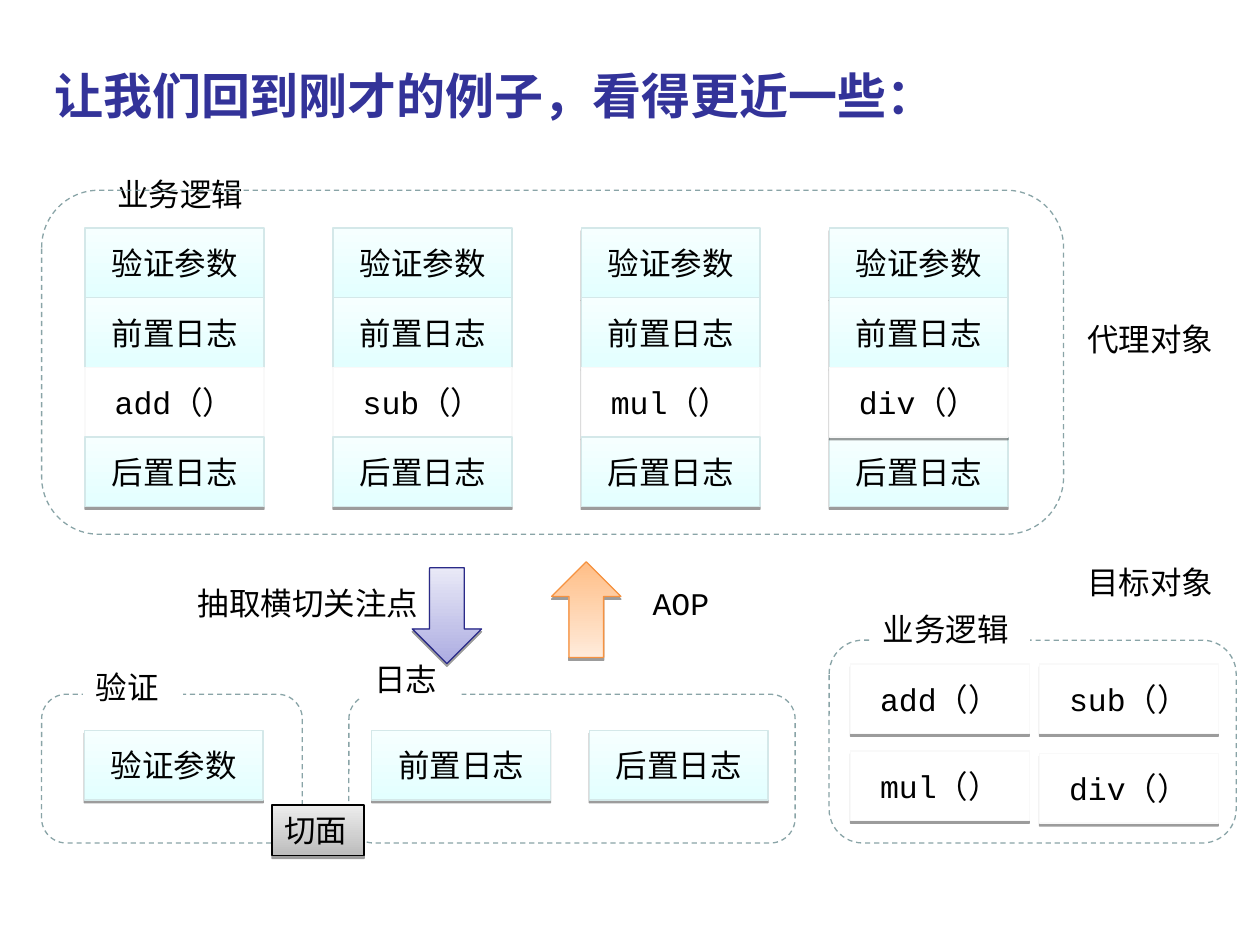
import dataclasses
import typing

import lxml.etree
import pptx
import pptx.dml.color
import pptx.enum.dml
import pptx.enum.shapes
import pptx.enum.text
import pptx.oxml.ns
import pptx.util

Pt = pptx.util.Pt
Preset = pptx.enum.shapes.MSO_SHAPE
Align = pptx.enum.text.PP_ALIGN
Anchor = pptx.enum.text.MSO_ANCHOR


@dataclasses.dataclass(frozen=True)
class Style:
    colors: tuple[str, ...] = ()
    line: str | None = None
    dashed: bool = False
    shadow: bool = False


@dataclasses.dataclass(frozen=True)
class Theme:
    title_font: str = "Arial"
    title_size: float = 28
    title_color: str = "333399"
    body_font: str = "Courier New"
    body_size: float = 18
    body_color: str = "000000"
    line_width: float = 0.75
    shadow_color: str = "000000"
    concern: Style = Style(("E3FFFF", "F6FFFF"), "D4E8E9", shadow=True)
    method: Style = Style(("FFFFFF",), "F9F9F9", shadow=True)
    frame: Style = Style(line="89A4A7", dashed=True)
    caption: Style = Style(("FFFFFF",))
    plain: Style = Style()
    extract: Style = Style(("ACACE1", "E9E9F7"), "2A2A88", shadow=True)
    weave: Style = Style(("FFBE86", "FFEBDB"), "F69240", shadow=True)
    aspect: Style = Style(("BCBCBC", "EDEDED"), "000000", shadow=True)


class Box(typing.NamedTuple):
    left: float
    top: float
    width: float
    height: float


class Item(typing.NamedTuple):
    text: str
    box: Box
    style: Style


THEME = Theme()
CELL_WIDTH, CELL_HEIGHT = 102.2, 39.8
COLUMN_LEFT, COLUMN_TOP, COLUMN_PITCH = 48.6, 130.3, 141.75
LABEL_HEIGHT = 29


def rgb(value: str) -> pptx.dml.color.RGBColor:
    """Convert a hex string to a colour."""
    return pptx.dml.color.RGBColor.from_string(value)


def add_shadow(shape) -> None:
    """Give a shape a hard shadow just below it."""
    effects = shape._element.spPr.find(pptx.oxml.ns.qn("a:effectLst"))
    outer = lxml.etree.SubElement(
        effects, pptx.oxml.ns.qn("a:outerShdw"),
        blurRad="0", dist=str(Pt(1.6)), dir="5400000", rotWithShape="0")
    color = lxml.etree.SubElement(
        outer, pptx.oxml.ns.qn("a:srgbClr"), val=THEME.shadow_color)
    lxml.etree.SubElement(color, pptx.oxml.ns.qn("a:alpha"), val="38000")


def apply_style(shape, style: Style) -> None:
    """Set fill, outline and shadow of a shape."""
    shape.shadow.inherit = False
    if len(style.colors) == 2:
        shape.fill.gradient()
        shape.fill.gradient_angle = 90
        for stop, color in zip(shape.fill.gradient_stops, style.colors):
            stop.color.rgb = rgb(color)
    elif style.colors:
        shape.fill.solid()
        shape.fill.fore_color.rgb = rgb(style.colors[0])
    else:
        shape.fill.background()
    if style.line:
        shape.line.color.rgb = rgb(style.line)
        shape.line.width = Pt(THEME.line_width)
        if style.dashed:
            shape.line.dash_style = pptx.enum.dml.MSO_LINE.DASH
    else:
        shape.line.fill.background()
    if style.shadow:
        add_shadow(shape)


def write(shape, text: str, font: str, size: float, color: str,
          alignment: Align, anchor: Anchor, bold: bool = False) -> None:
    """Put one formatted run into a shape."""
    frame = shape.text_frame
    frame.word_wrap = True
    frame.vertical_anchor = anchor
    paragraph = frame.paragraphs[0]
    paragraph.alignment = alignment
    run = paragraph.add_run()
    run.text = text
    run.font.name = font
    run.font.size = Pt(size)
    run.font.bold = bold
    run.font.color.rgb = rgb(color)


def add_preset(slide, preset: Preset, box: Box, style: Style):
    """Draw a styled preset shape."""
    shape = slide.shapes.add_shape(preset, *map(Pt, box))
    apply_style(shape, style)
    return shape


def add_cell(slide, text: str, left: float, top: float, style: Style) -> None:
    """Draw one centred code block."""
    box = Box(left, top, CELL_WIDTH, CELL_HEIGHT)
    shape = add_preset(slide, Preset.RECTANGLE, box, style)
    write(shape, text, THEME.body_font, THEME.body_size, THEME.body_color,
          Align.CENTER, Anchor.MIDDLE)


def add_label(slide, item: Item) -> None:
    """Draw a left-aligned label."""
    if item.style == THEME.plain:
        shape = slide.shapes.add_textbox(*map(Pt, item.box))
    else:
        shape = add_preset(slide, Preset.RECTANGLE, item.box, item.style)
    write(shape, item.text, THEME.body_font, THEME.body_size, THEME.body_color,
          Align.LEFT, Anchor.TOP)


def add_frame(slide, box: Box) -> None:
    """Draw a dashed rounded frame."""
    add_preset(slide, Preset.ROUNDED_RECTANGLE, box, THEME.frame)


def add_title(slide, text: str) -> None:
    """Place and fill the title."""
    title = slide.shapes.title
    title.left, title.top, title.width, title.height = map(Pt, (23.8, 33.8, 624, 41))
    write(title, text, THEME.title_font, THEME.title_size, THEME.title_color,
          Align.LEFT, Anchor.TOP, bold=True)
    title.text_frame.auto_size = pptx.enum.text.MSO_AUTO_SIZE.NONE


def add_proxy_columns(slide) -> None:
    """Draw the four methods wrapped in their concerns."""
    for column, method in enumerate(("add（）", "sub（）", "mul（）", "div（）")):
        steps = [("验证参数", THEME.concern), ("前置日志", THEME.concern),
                 (method, THEME.method), ("后置日志", THEME.concern)]
        order = (0, 1, 3, 2) if column == 3 else (0, 1, 2, 3)
        for row in order:
            text, style = steps[row]
            add_cell(slide, text, COLUMN_LEFT + column * COLUMN_PITCH,
                     COLUMN_TOP + row * CELL_HEIGHT, style)


def main() -> None:
    """Build and save the slide."""
    presentation = pptx.Presentation()
    presentation.slide_width, presentation.slide_height = Pt(720), Pt(540)
    slide = presentation.slides.add_slide(presentation.slide_layouts[5])
    add_title(slide, "让我们回到刚才的例子，看得更近一些：")
    add_proxy_columns(slide)
    add_label(slide, Item("业务逻辑", Box(59.8, 96.5, 91, LABEL_HEIGHT), THEME.caption))
    for box in (Box(23.8, 108.7, 584, 196.6), Box(473.8, 365.8, 232.6, 115.9),
                Box(23.8, 396.7, 149, 85), Box(199.4, 396.7, 255, 85)):
        add_frame(slide, box)
    for text, left, top in (("add（）", 486, 379.4), ("sub（）", 594, 379.4),
                            ("mul（）", 486, 429.1), ("div（）", 594, 430.6)):
        add_cell(slide, text, left, top, THEME.method)
    for text, left in (("验证参数", 48.2), ("前置日志", 212.4), ("后置日志", 336.7)):
        add_cell(slide, text, left, 417.4, THEME.concern)
    for item in (
        Item("业务逻辑", Box(497.5, 344.9, 91, LABEL_HEIGHT), THEME.caption),
        Item("验证", Box(47.5, 378, 57, LABEL_HEIGHT), THEME.caption),
        Item("日志", Box(206.8, 373.7, 57, LABEL_HEIGHT), THEME.caption),
        Item("抽取横切关注点", Box(105.8, 329.9, 152.6, LABEL_HEIGHT), THEME.plain),
        Item("AOP", Box(365.8, 330.2, 62, LABEL_HEIGHT), THEME.plain),
        Item("切面", Box(155.5, 460, 52.6, LABEL_HEIGHT), THEME.aspect),
        Item("目标对象", Box(614.2, 318.2, 92.2, LABEL_HEIGHT), THEME.plain),
        Item("代理对象", Box(614.2, 179.3, 92.2, LABEL_HEIGHT), THEME.plain),
    ):
        add_label(slide, item)
    add_preset(slide, Preset.DOWN_ARROW, Box(235.6, 324.5, 39.6, 54.7), THEME.extract)
    weave = add_preset(slide, Preset.DOWN_ARROW, Box(315.2, 321, 39.6, 54.7), THEME.weave)
    weave.rotation = 180
    presentation.save("out.pptx")


if __name__ == "__main__":
    main()
